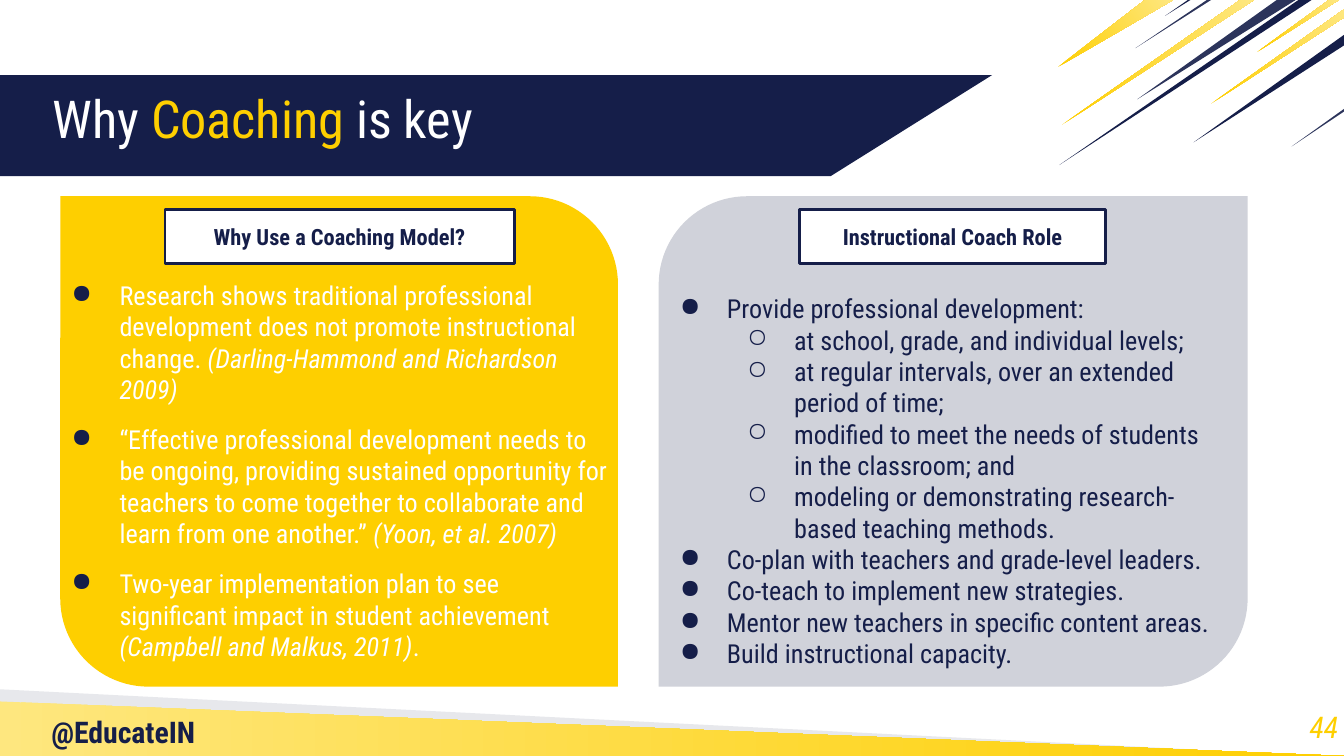
from dataclasses import dataclass
from typing import Optional

from lxml import etree
from pptx import Presentation
from pptx import util as u
from pptx.dml import color
from pptx.enum import shapes, text
from pptx.oxml import ns

FONT = "Roboto Condensed"
NAVY, SLATE, GRAY, MIST = "151E49", "2C345B", "D0D2DA", "E7E8EC"
YELLOW, PALE, WHITE = "FECF00", "FEE77F", "FFFFFF"
WIDTH, HEIGHT = 25.4, 14.29


@dataclass
class Box:
    left: float
    top: float
    width: float
    height: float

    def lengths(self) -> list:
        return [u.Cm(n) for n in (self.left, self.top, self.width, self.height)]


@dataclass
class Polygon:
    points: list
    colors: tuple  # one colour is solid, two make a gradient
    angle: float = 35


@dataclass
class Run:
    words: str
    color: str = NAVY
    size: float = 14
    bold: bool = False
    italic: bool = False


@dataclass
class Paragraph:
    runs: list
    bullet: str = ""
    margin: float = 0
    hanging: float = 0
    before: float = 0
    spacing: Optional[float] = None
    align: text.PP_ALIGN = text.PP_ALIGN.LEFT
    level: int = 0


def rgb(value: str) -> color.RGBColor:
    return color.RGBColor.from_string(value)


def draw_polygon(slide, polygon: Polygon) -> None:
    first, *rest = [(u.Cm(x), u.Cm(y)) for x, y in polygon.points]
    builder = slide.shapes.build_freeform(*first)
    builder.add_line_segments(rest, close=True)
    shape = builder.convert_to_shape()
    shape.shadow.inherit = False
    shape.line.fill.background()
    if len(polygon.colors) == 1:
        shape.fill.solid()
        shape.fill.fore_color.rgb = rgb(polygon.colors[0])
        return
    shape.fill.gradient()
    shape.fill.gradient_angle = polygon.angle
    for stop, value in zip(shape.fill.gradient_stops, polygon.colors):
        stop.color.rgb = rgb(value)


def draw_shape(slide, kind: shapes.MSO_SHAPE, box: Box, fill: str, line: str = ""):
    shape = slide.shapes.add_shape(kind, *box.lengths())
    shape.shadow.inherit = False
    shape.fill.solid()
    shape.fill.fore_color.rgb = rgb(fill)
    if line:
        shape.line.color.rgb = rgb(line)
        shape.line.width = u.Pt(1.5)
    else:
        shape.line.fill.background()
    return shape


def draw_panel(slide, box: Box, fill: str, flip: bool = False) -> None:
    shape = draw_shape(slide, shapes.MSO_SHAPE.ROUND_2_DIAG_RECTANGLE, box, fill)
    shape.adjustments[0] = 0
    shape.adjustments[1] = 0.18
    if flip:
        shape._element.spPr.xfrm.set("flipH", "1")


def add_bullet(paragraph, item: Paragraph) -> None:
    properties = paragraph._p.get_or_add_pPr()
    properties.set("marL", str(u.Cm(item.margin)))
    properties.set("indent", str(-u.Cm(item.hanging)))
    bullet_color = etree.SubElement(properties, ns.qn("a:buClr"))
    etree.SubElement(bullet_color, ns.qn("a:srgbClr"), val=NAVY)
    etree.SubElement(properties, ns.qn("a:buChar"), char=item.bullet)


def write(shape, items: list, inset: float = 0, middle: bool = False) -> None:
    frame = shape.text_frame
    frame.word_wrap = True
    frame.margin_left = frame.margin_right = u.Cm(inset)
    frame.margin_top = frame.margin_bottom = u.Cm(inset)
    frame.vertical_anchor = text.MSO_ANCHOR.MIDDLE if middle else text.MSO_ANCHOR.TOP
    for index, item in enumerate(items):
        paragraph = frame.add_paragraph() if index else frame.paragraphs[0]
        paragraph.alignment = item.align
        paragraph.level = item.level
        if item.bullet:
            add_bullet(paragraph, item)
        if item.before:
            paragraph.space_before = u.Pt(item.before)
        if item.spacing:
            paragraph.line_spacing = item.spacing
        for piece in item.runs:
            run = paragraph.add_run()
            run.text = piece.words
            run.font.name = FONT
            run.font.size = u.Pt(piece.size)
            run.font.bold = piece.bold
            run.font.italic = piece.italic
            run.font.color.rgb = rgb(piece.color)


def draw_text(slide, box: Box, items: list, inset: float = 0, middle: bool = False) -> None:
    write(slide.shapes.add_textbox(*box.lengths()), items, inset, middle)


def draw_label(slide, box: Box, words: str) -> None:
    shape = draw_shape(slide, shapes.MSO_SHAPE.RECTANGLE, box, WHITE, NAVY)
    label = Paragraph([Run(words, size=12, bold=True)], align=text.PP_ALIGN.CENTER)
    write(shape, [label], 0.25, middle=True)


GOLD = (YELLOW, PALE)
DECORATION = [
    # Footer wedge and title band
    Polygon([(0, 13.03), (0, HEIGHT), (22.61, 14.17)], (MIST,)),
    Polygon([(0, 1.42), (0, 3.33), (15.7, 3.33), (18.75, 1.42)], (NAVY,)),
    # Streaks in the top right corner
    Polygon([(23.75, 0.99), (25.3, 0), (25.12, 0)], GOLD),
    Polygon([(20.02, 3.12), (24.79, 0), (24.54, 0)], (NAVY,)),
    Polygon([(21.64, 0), (19.99, 1.27), (22.17, 0)], GOLD),
    Polygon([(WIDTH, 0.33), (WIDTH, 0.18), (22.89, 1.96)], GOLD),
    Polygon([(24.49, 0), (24.13, 0), (21.49, 1.88)], (SLATE,)),
    Polygon([(22.56, 2.69), (WIDTH, 0.86), (WIDTH, 0.66)], (NAVY,)),
    Polygon([(WIDTH, 2.11), (WIDTH, 2.06), (24.41, 2.77)], (SLATE,)),
    Polygon([(22.02, 0.3), (22.5, 0), (22.45, 0)], (NAVY,)),
    Polygon([(20.07, 2.36), (23.7, 0), (23.44, 0)], GOLD),
    Polygon([(21.46, 0.91), (22.89, 0), (22.81, 0)], (SLATE,)),
    # Yellow footer wedge
    Polygon([(0, 13.26), (0, HEIGHT), (WIDTH, HEIGHT)], (PALE, YELLOW), 0),
]

# Each reason: statement, citation, closing mark
REASONS = [
    ("Research shows traditional professional development does not promote "
     "instructional change. ", "(Darling-Hammond and Richardson 2009)", ""),
    ("“Effective professional development needs to be ongoing, providing sustained "
     "opportunity for teachers to come together to collaborate and learn from one "
     "another.” ", "(Yoon, et al. 2007)", ""),
    ("Two-year implementation plan to see significant impact in student achievement ",
     "(Campbell and Malkus, 2011)", "."),
]

# Each duty: outline level, wording
DUTIES = [
    (0, "Provide professional development:"),
    (1, "at school, grade, and individual levels;"),
    (1, "at regular intervals, over an extended period of time;"),
    (1, "modified to meet the needs of students in the classroom; and"),
    (1, "modeling or demonstrating research-based teaching methods."),
    (0, "Co-plan with teachers and grade-level leaders."),
    (0, "Co-teach to implement new strategies."),
    (0, "Mentor new teachers in specific content areas."),
    (0, "Build instructional capacity."),
]


def main() -> None:
    presentation = Presentation()
    presentation.slide_width, presentation.slide_height = u.Cm(WIDTH), u.Cm(HEIGHT)
    slide = presentation.slides.add_slide(presentation.slide_layouts[6])

    # Background decoration and handle
    for polygon in DECORATION:
        draw_polygon(slide, polygon)
    handle = Paragraph([Run("@EducateIN", size=16, bold=True)])
    draw_text(slide, Box(0.84, 13.36, 5.18, 0.51), [handle], 0.13)

    # Panels and title
    draw_panel(slide, Box(12.45, 3.71, 11.13, 9.27), GRAY, flip=True)
    draw_panel(slide, Box(1.14, 3.71, 10.54, 9.27), YELLOW)
    title = [("Why ", WHITE), ("Coaching ", YELLOW), ("is key", WHITE)]
    title_runs = [Run(words, shade, 28) for words, shade in title]
    draw_text(slide, Box(0.99, 1.35, 14.63, 1.91),
              [Paragraph(title_runs, spacing=0.9)], middle=True)

    # Panel lists
    reasons = []
    for index, (statement, citation, ending) in enumerate(REASONS):
        runs = [Run(statement, WHITE), Run(citation, WHITE, italic=True)]
        if ending:
            runs.append(Run(ending, WHITE))
        reasons.append(Paragraph(runs, "●", 1.27, 0.91, before=10 if index else 0))
    draw_text(slide, Box(0.99, 5.28, 10.54, 7.92), reasons)
    duties = [Paragraph([Run(words)], "●○"[level], 1.27 * (level + 1), 0.89, level=level)
              for level, words in DUTIES]
    draw_text(slide, Box(12.22, 5.28, 11.13, 7.7), duties, 0.25)

    # Panel labels and page number
    draw_label(slide, Box(3.12, 3.96, 6.6, 1.02), "Why Use a Coaching Model?")
    draw_label(slide, Box(15.11, 3.96, 5.79, 1.02), "Instructional Coach Role")
    number = Paragraph([Run("44", YELLOW, 16, italic=True)], align=text.PP_ALIGN.RIGHT)
    draw_text(slide, Box(23.77, 13.18, 1.52, 1.09), [number], middle=True)

    presentation.save("out.pptx")


if __name__ == "__main__":
    main()
